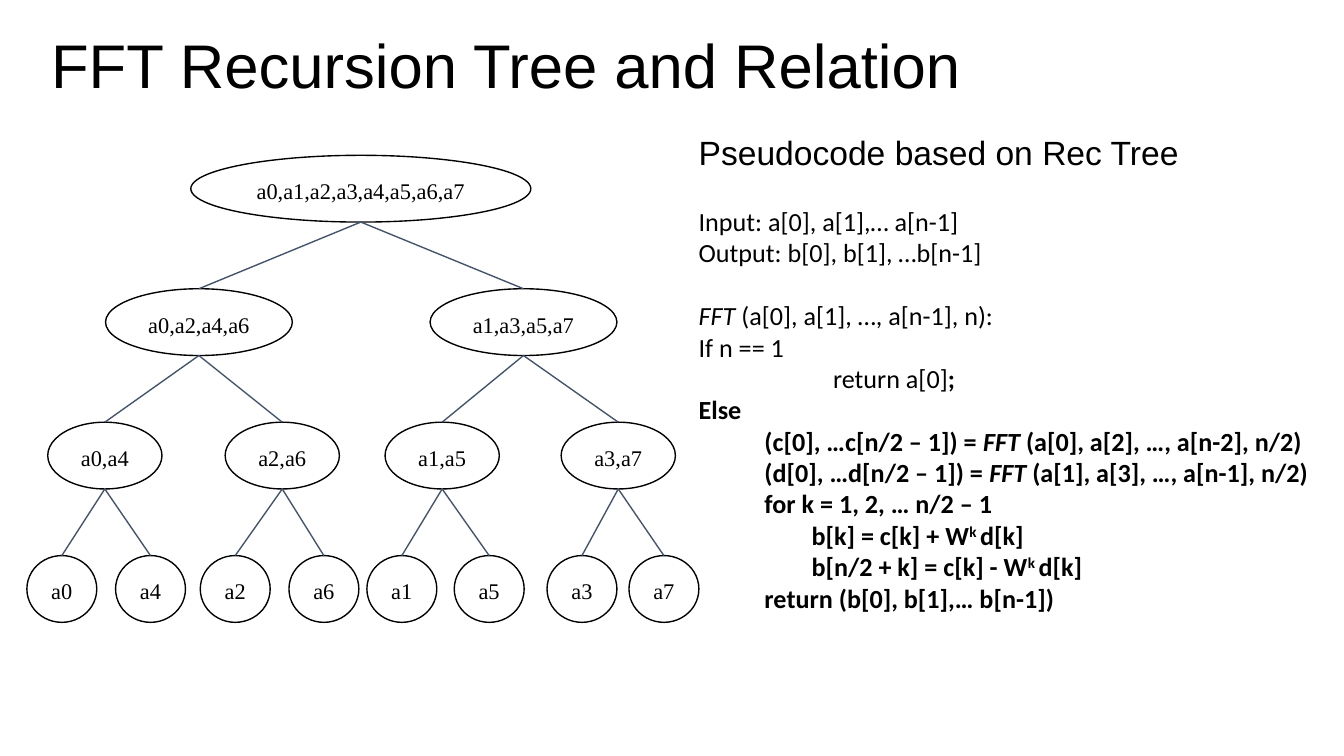
import pptx
import pptx.dml.color
import pptx.enum.shapes
import pptx.enum.text
import pptx.oxml.ns
import pptx.util
from lxml import etree

BLACK = pptx.dml.color.RGBColor(0x00, 0x00, 0x00)
WHITE = pptx.dml.color.RGBColor(0xFF, 0xFF, 0xFF)
SLATE = pptx.dml.color.RGBColor(0x44, 0x54, 0x6A)
ALIGN = pptx.enum.text.PP_ALIGN
ANCHOR = pptx.enum.text.MSO_ANCHOR

# Tree geometry in percent of the slide's width (x) and height (y)
NODE_WIDTHS = [25.3, 13.9, 8.5, 5.2]
NODE_CENTRES = [
    [26.85],
    [14.8, 38.95],
    [7.8, 21, 32.9, 46],
    [4.6, 11.2, 17.5, 24.1, 29.9, 36.4, 43.3, 49.4],
]
TREE_TOP, LEVEL_STEP, NODE_HEIGHT = 20.55, 17.65, 8.83

LINE_PITCH = 16.8
STEP, INNER, RETURN = 0.49, 0.84, 1.0  # code indents in inches

# Each line: indent, blank line before it, runs of (text, style);
# b is bold, i is italic, ^ is superscript
CODE = [
    (0, False, [("Input: a[0], a[1],… a[n-1]", "")]),
    (0, False, [("Output: b[0], b[1], …b[n-1]", "")]),
    (0, True, [("FFT ", "i"), ("(a[0], a[1], …, a[n-1], n):", "")]),
    (0, False, [("If n == 1", "")]),
    (RETURN, False, [("return a[0]", ""), (";", "b")]),
    (0, False, [("Else", "b")]),
    (STEP, False, [("(c[0], …c[n/2 – 1]) = ", "b"), ("FFT ", "bi"),
                   ("(a[0], a[2], …, a[n-2], n/2)", "b")]),
    (STEP, False, [("(d[0], …d[n/2 – 1]) = ", "b"), ("FFT ", "bi"),
                   ("(a[1], a[3], …, a[n-1], n/2)", "b")]),
    (STEP, False, [("for k = 1, 2, … n/2 – 1", "b")]),
    (INNER, False, [("b[k] = c[k] + W", "b"), ("k ", "b^"), ("d[k]", "b")]),
    (INNER, False, [("b[n/2 + k] = c[k] - W", "b"), ("k ", "b^"), ("d[k]", "b")]),
    (STEP, False, [("return (b[0], b[1],… b[n-1])", "b")]),
]


class Deck:
    """Style and current slide; positions are percent of the slide's size."""

    def __init__(self, prs):
        self.prs = prs
        self.s = prs.slides.add_slide(prs.slide_layouts[5])

    def x(self, share):
        return round(self.prs.slide_width * share / 100)

    def y(self, share):
        return round(self.prs.slide_height * share / 100)

    def box(self, left, top, width, height):
        return self.x(left), self.y(top), self.x(width), self.y(height)

    def frame(self, sp, inset_x, inset_y, anchor, wrap=True):
        tf = sp.text_frame
        tf.margin_left = tf.margin_right = pptx.util.Inches(inset_x)
        tf.margin_top = tf.margin_bottom = pptx.util.Inches(inset_y)
        tf.vertical_anchor = anchor
        tf.word_wrap = wrap
        tf.auto_size = pptx.enum.text.MSO_AUTO_SIZE.NONE
        return tf

    def format(self, p, font, size, spacing, align=ALIGN.LEFT):
        p.alignment = align
        p.line_spacing = spacing
        for r in p.runs:
            r.font.name = font
            r.font.size = pptx.util.Pt(size)
            r.font.color.rgb = BLACK

    def title(self, text, *area):
        sp = self.s.shapes.title
        sp.left, sp.top, sp.width, sp.height = self.box(*area)
        tf = self.frame(sp, 0.04, 0.02, ANCHOR.MIDDLE)
        tf.text = text
        self.format(tf.paragraphs[0], "Arial", 33, 0.9)

    def heading(self, text, *area):
        sp = self.s.shapes.add_textbox(*self.box(*area))
        tf = self.frame(sp, 0.1, 0.1, ANCHOR.TOP)
        tf.text = text
        self.format(tf.paragraphs[0], "Arial", 18, 0.9)

    def code(self, lines, *area):
        sp = self.s.shapes.add_textbox(*self.box(*area))
        tf = self.frame(sp, 0.1, 0.1, ANCHOR.TOP)
        for n, (indent, gap, runs) in enumerate(lines):
            p = tf.add_paragraph() if n else tf.paragraphs[0]
            p._p.get_or_add_pPr().set("marL", str(pptx.util.Inches(indent)))
            if gap:
                p.space_before = pptx.util.Pt(LINE_PITCH)
            for text, style in runs:
                r = p.add_run()
                r.text = text
                r.font.bold = "b" in style
                r.font.italic = "i" in style
                if "^" in style:
                    r._r.get_or_add_rPr().set("baseline", "30000")
            self.format(p, "Calibri", 14, pptx.util.Pt(LINE_PITCH))

    def node(self, text, centre, top, width, height):
        area = self.box(centre - width / 2, top, width, height)
        sp = self.s.shapes.add_shape(pptx.enum.shapes.MSO_SHAPE.OVAL, *area)
        sp.shadow.inherit = False
        sp.fill.solid()
        sp.fill.fore_color.rgb = WHITE
        sp.line.color.rgb = BLACK
        sp.line.width = pptx.util.Pt(0.75)
        tf = self.frame(sp, 0.1, 0.1, ANCHOR.MIDDLE, wrap=False)
        tf.text = text
        self.format(tf.paragraphs[0], "Times New Roman", 12, 1.15, ALIGN.CENTER)
        return sp

    def edge(self, parent, child):
        """Line from the parent's bottom to the child's top."""
        line = self.s.shapes.add_connector(
            pptx.enum.shapes.MSO_CONNECTOR.STRAIGHT,
            parent.left + parent.width // 2, parent.top + parent.height,
            child.left + child.width // 2, child.top)
        line.end_connect(child, 0)
        line.line.color.rgb = SLATE
        line.line.width = pptx.util.Pt(0.75)
        etree.SubElement(line._element.spPr, pptx.oxml.ns.qn("a:effectLst"))

    def tree(self, indices, level=0, place=0):
        """Draw a node, then the subtrees of its even and odd positions."""
        sp = self.node(",".join(f"a{i}" for i in indices),
                       NODE_CENTRES[level][place], TREE_TOP + level * LEVEL_STEP,
                       NODE_WIDTHS[level], NODE_HEIGHT)
        if len(indices) > 1:
            for half in range(2):
                child = self.tree(indices[half::2], level + 1, 2 * place + half)
                self.edge(sp, child)
        return sp


def main():
    prs = pptx.Presentation()
    prs.slide_width = pptx.util.Inches(10)
    prs.slide_height = prs.slide_width * 9 // 16
    deck = Deck(prs)
    deck.title("FFT Recursion Tree and Relation", 3.4, 3.5, 93.2, 11.2)
    deck.tree(range(8))
    deck.code(CODE, 51, 25.4, 48.4, 76.6)
    deck.heading("Pseudocode based on Rec Tree", 51, 16.3, 42.5, 7.1)
    prs.save("out.pptx")


if __name__ == "__main__":
    main()
